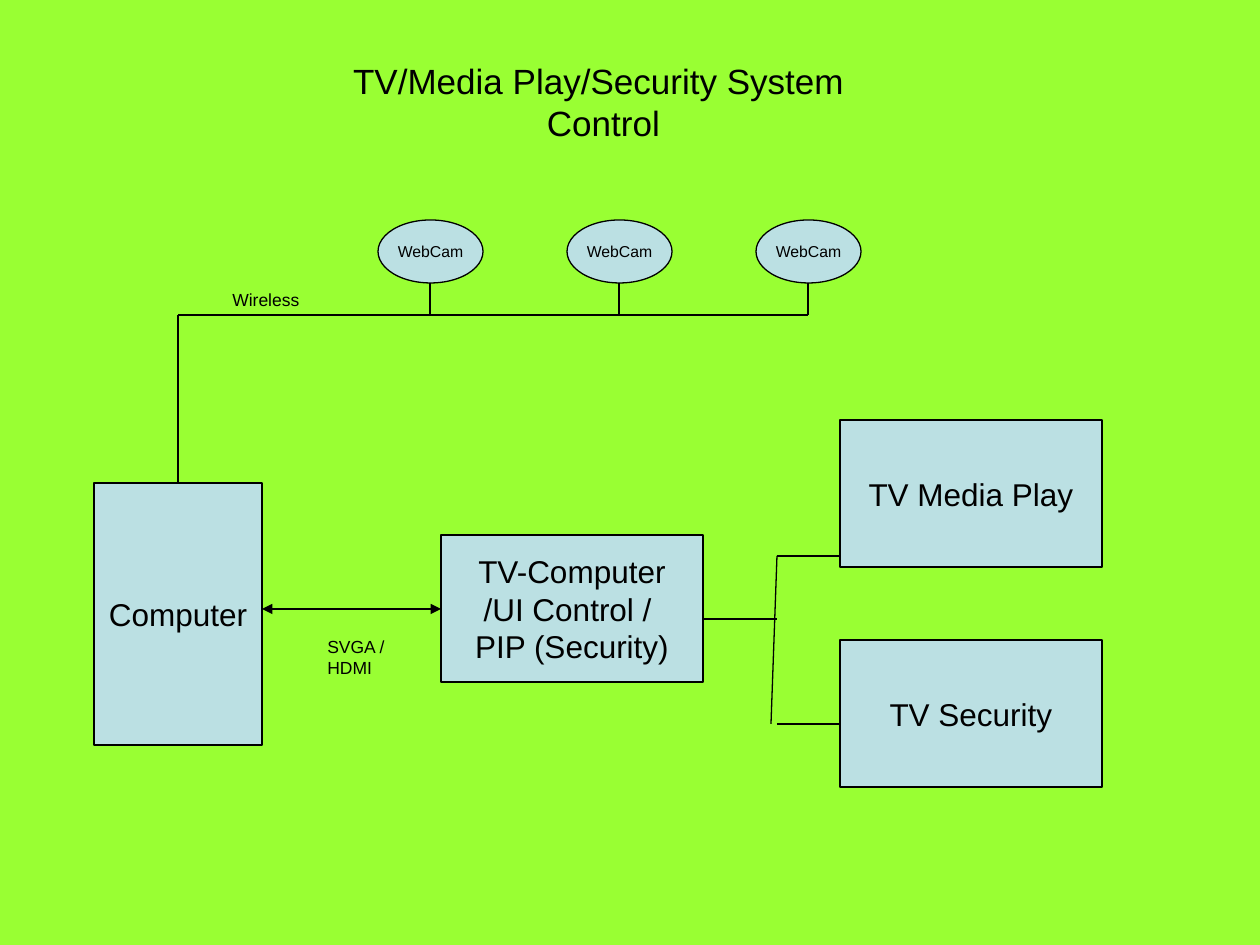
from lxml import etree
from pptx import Presentation
from pptx.dml.color import RGBColor
from pptx.enum.shapes import MSO_CONNECTOR, MSO_SHAPE
from pptx.enum.text import MSO_ANCHOR, MSO_AUTO_SIZE, PP_ALIGN as Align
from pptx.oxml.ns import qn
from pptx.util import Emu, Pt

COLORS = {"background": "99FF33", "box": "BBE0E3", "ink": "000000"}
COLORS = {name: RGBColor.from_string(value) for name, value in COLORS.items()}


def px(length):
    return Emu(round(length * 914400 / 126))


def write(shape, text, size, align, wrap=False):
    frame = shape.text_frame
    frame.text = text
    frame.word_wrap = wrap
    for paragraph in frame.paragraphs:
        paragraph.alignment = align
        for run in paragraph.runs:
            run.font.name = "Arial"
            run.font.size = Pt(size)
            run.font.color.rgb = COLORS["ink"]


presentation = Presentation()
presentation.slide_width, presentation.slide_height = px(1260), px(945)
slide = presentation.slides.add_slide(presentation.slide_layouts[6])
slide.background.fill.solid()
slide.background.fill.fore_color.rgb = COLORS["background"]

# Devices: preset, left, top, width, height, text, text size
webcam_lefts = [378 + 189 * index for index in range(3)]
devices = [
    (MSO_SHAPE.RECTANGLE, 94, 483, 168, 262, "Computer", 18),
    (MSO_SHAPE.RECTANGLE, 441, 535, 262, 147,
     "TV-Computer\n/UI Control / \nPIP (Security)", 18),
    (MSO_SHAPE.RECTANGLE, 840, 420, 262, 147, "TV Media Play", 18),
    (MSO_SHAPE.RECTANGLE, 840, 640, 262, 147, "TV Security", 18),
]
devices += [(MSO_SHAPE.OVAL, left, 220, 105, 63, "WebCam", 9) for left in webcam_lefts]
for preset, left, top, width, height, text, size in devices:
    shape = slide.shapes.add_shape(preset, px(left), px(top), px(width), px(height))
    shape.shadow.inherit = False
    shape.fill.solid()
    shape.fill.fore_color.rgb = COLORS["box"]
    shape.line.color.rgb = COLORS["ink"]
    shape.line.width = Pt(0.75)
    shape.text_frame.vertical_anchor = MSO_ANCHOR.MIDDLE
    write(shape, text, size, Align.CENTER)

# Wires: start x, start y, end x, end y, arrows at both ends
wires = [
    (441, 609, 262, 609, True),    # computer to TV control
    (777, 619, 703, 619, False),   # TV control to the split
    (777, 556, 771, 724, False),   # split
    (777, 556, 840, 556, False),   # to media play
    (777, 724, 840, 724, False),   # to security
    (178, 483, 178, 315, False),   # computer up to wireless
    (178, 315, 808, 315, False),   # wireless line
]
wires += [(left + 52, 283, left + 52, 315, False) for left in webcam_lefts]
for start_x, start_y, end_x, end_y, arrows in wires:
    wire = slide.shapes.add_connector(
        MSO_CONNECTOR.STRAIGHT, px(start_x), px(start_y), px(end_x), px(end_y))
    wire.line.color.rgb = COLORS["ink"]
    wire.line.width = Pt(0.75)
    if arrows:
        for end in ("a:headEnd", "a:tailEnd"):
            etree.SubElement(wire.line._get_or_add_ln(), qn(end), type="triangle")
    etree.SubElement(wire._element.spPr, qn("a:effectLst"))

# Title and wire labels: left, top, width, height, text, size, alignment, wrap
labels = [
    (315, 53, 577, 97, "TV/Media Play/Security System \nControl", 20, Align.CENTER, True),
    (220, 283, 92, 34, "Wireless", 10, Align.LEFT, False),
    (315, 630, 88, 55, "SVGA /\nHDMI", 10, Align.LEFT, False),
]
for left, top, width, height, text, size, align, wrap in labels:
    label = slide.shapes.add_textbox(px(left), px(top), px(width), px(height))
    write(label, text, size, align, wrap)
    label.text_frame.auto_size = MSO_AUTO_SIZE.SHAPE_TO_FIT_TEXT

presentation.save("out.pptx")
